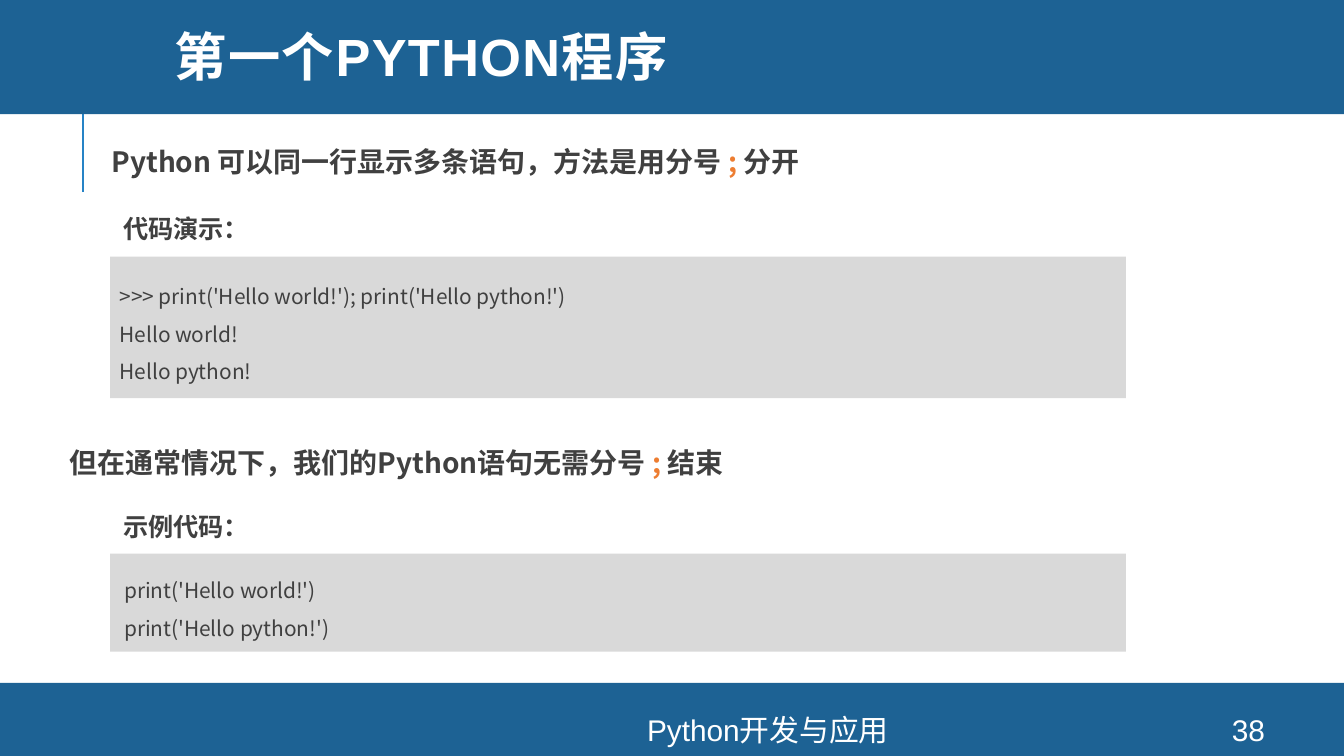
from lxml.etree import SubElement
from pptx import Presentation
from pptx.dml.color import RGBColor
from pptx.enum.shapes import MSO_CONNECTOR as Connector, MSO_SHAPE as Shape
from pptx.enum.text import MSO_ANCHOR as Anchor, PP_ALIGN as Align
from pptx.oxml.ns import qn
from pptx.util import Cm, Pt

THEME = {
    "band": "1D6294", "rule": "2683C6", "panel": "D9D9D9",
    "ink": "404040", "accent": "ED7D31", "light": "FFFFFF",
    "latin": "Arial", "cjk": "Noto Sans CJK SC",
    "title": 28, "footer": 16, "statement": 15, "label": 13.5, "code": 11.2,
}
WIDTH, HEIGHT = 25.4, 14.28
BANDS = [(12.9, 1.38), (-0.08, 2.24)]
TITLE = "第一个PYTHON程序"
FOOTERS = [("Python开发与应用", 6.63, 15.77), ("38", 22.58, 2.03)]
SECTIONS = [
    {
        "statement": [("Python 可以同一行显示多条语句，方法是用分号 ", "ink"),
                      (";", "accent"), (" 分开", "ink")],
        "statement_at": (1.93, 2.31),
        "label": "代码演示：",
        "label_top": 3.91,
        "code": [">>> print('Hello world!'); print('Hello python!')",
                 "Hello world!", "Hello python!"],
        "code_top": 4.85, "code_height": 2.67,
    },
    {
        "statement": [("但在通常情况下，我们的Python语句无需分号 ", "ink"),
                      ("; ", "accent"), ("结束", "ink")],
        "statement_at": (1.14, 8.0),
        "label": "示例代码：",
        "label_top": 9.53,
        "code": [" print('Hello world!')", " print('Hello python!')"],
        "code_top": 10.46, "code_height": 1.85,
    },
]
PANEL_LEFT, PANEL_WIDTH = 2.08, 19.2


def color(name):
    return RGBColor.from_string(THEME[name])


def add_panel(slide, left, top, width, height, fill):
    shape = slide.shapes.add_shape(Shape.RECTANGLE, Cm(left), Cm(top), Cm(width), Cm(height))
    shape.shadow.inherit = False
    shape.fill.solid()
    shape.fill.fore_color.rgb = color(fill)
    shape.line.fill.background()
    return shape


def add_rule(slide, left, top, bottom):
    line = slide.shapes.add_connector(Connector.STRAIGHT, Cm(left), Cm(bottom), Cm(left), Cm(top))
    line.line.color.rgb = color("rule")
    line.line.width = Pt(1.5)
    SubElement(line._element.spPr, qn("a:effectLst"))


def write(shape, paragraphs, role, font="cjk", bold=False, spacing=None,
          align=Align.LEFT, anchor=Anchor.MIDDLE, tight=False, wrap=True, tracking=None):
    frame = shape.text_frame
    frame.word_wrap = wrap
    frame.vertical_anchor = anchor
    if tight:
        frame.margin_left = frame.margin_right = Cm(0.18)
        frame.margin_top = frame.margin_bottom = Cm(0.1)
    for index, pieces in enumerate(paragraphs):
        paragraph = frame.add_paragraph() if index else frame.paragraphs[0]
        paragraph.alignment = align
        if spacing:
            paragraph.line_spacing = spacing
        for text, ink in pieces:
            run = paragraph.add_run()
            run.text = text
            run.font.size = Pt(THEME[role])
            run.font.bold = bold
            run.font.color.rgb = color(ink)
            run.font.name = THEME[font]
            properties = run.font._element
            SubElement(properties, qn("a:ea"), typeface=THEME["cjk"])
            if tracking:
                properties.set("spc", str(tracking))


def add_text(slide, left, top, width, height, paragraphs, role, **options):
    box = slide.shapes.add_textbox(Cm(left), Cm(top), Cm(width), Cm(height))
    write(box, paragraphs, role, **options)


def add_section(slide, section):
    add_text(slide, *section["statement_at"], 23.04, 1.14, [section["statement"]], "statement",
             bold=True, spacing=1.5, anchor=Anchor.TOP, tight=True)
    panel = add_panel(slide, PANEL_LEFT, section["code_top"], PANEL_WIDTH,
                      section["code_height"], "panel")
    write(panel, [[(line, "ink")] for line in section["code"]], "code", spacing=1.5, tight=True)
    add_text(slide, PANEL_LEFT, section["label_top"], 2.9, 0.84, [[(section["label"], "ink")]],
             "label", bold=True, anchor=Anchor.TOP, wrap=False)


def main():
    """Build the slide on Python statements and semicolons."""
    presentation = Presentation()
    presentation.slide_width, presentation.slide_height = Cm(WIDTH), Cm(HEIGHT)
    slide = presentation.slides.add_slide(presentation.slide_layouts[6])
    add_rule(slide, 1.57, 1.73, 3.63)
    for top, height in BANDS:
        add_panel(slide, 0, top, WIDTH, height, "band")
    add_text(slide, 3.05, 0, 21.56, 2.31, [[(TITLE, "light")]], "title",
             font="latin", bold=True, spacing=0.8, tracking=80)
    for text, left, width in FOOTERS:
        add_text(slide, left, 13.49, width, 0.58, [[(text, "light")]], "footer",
                 font="latin", align=Align.CENTER)
    for section in SECTIONS:
        add_section(slide, section)
    presentation.save("out.pptx")


if __name__ == "__main__":
    main()
